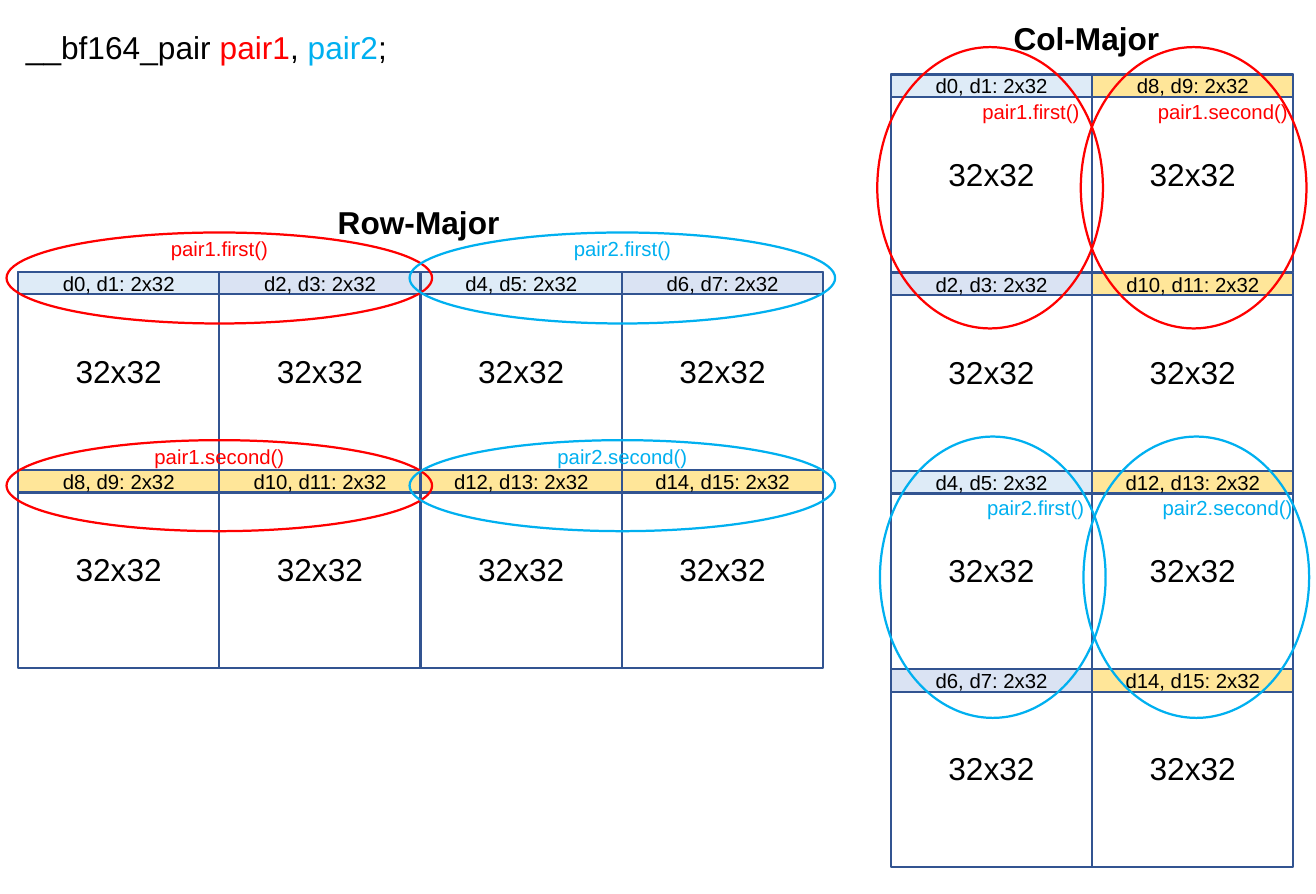
"""Build the slide that maps register pairs onto row-major and col-major tiles."""
from pptx import Presentation
from pptx.dml.color import RGBColor
from pptx.enum.shapes import MSO_SHAPE
from pptx.enum.text import MSO_ANCHOR, PP_ALIGN
from pptx.util import Pt

RECT, OVAL = MSO_SHAPE.RECTANGLE, MSO_SHAPE.OVAL
LEFT, CENTER = PP_ALIGN.LEFT, PP_ALIGN.CENTER
TOP, MIDDLE = MSO_ANCHOR.TOP, MSO_ANCHOR.MIDDLE
BLACK, WHITE, RED, BLUE, NAVY = "000000", "FFFFFF", "FF0000", "00B0F0", "325491"
LOW_FILLS, HIGH_FILL = ("DEEBF7", "DAE3F3"), "FFE699"
CELL_W, CELL_H, STRIP_H = 89.2, 87.8, 10
PAIRS = (("pair1", RED), ("pair2", BLUE))
CALLS = (("first", 58.3), ("second", 72.7))


def rgb(value):
    return RGBColor.from_string(value)


class Deck:
    def __init__(self, width, height):
        self.prs = Presentation()
        self.prs.slide_width, self.prs.slide_height = Pt(width), Pt(height)
        self.s = self.prs.slides.add_slide(self.prs.slide_layouts[5])
        self.font = "Arial"

    def add_runs(self, tf, runs, size, align, anchor, bold=False, inset=(7.2, 3.6)):
        tf.margin_left = tf.margin_right = Pt(inset[0])
        tf.margin_top = tf.margin_bottom = Pt(inset[1])
        tf.word_wrap = False
        tf.vertical_anchor = anchor
        p = tf.paragraphs[0]
        p.alignment = align
        for text, color in runs:
            r = p.add_run()
            r.text = text
            r.font.name, r.font.size, r.font.bold = self.font, Pt(size), bold
            r.font.color.rgb = rgb(color)

    def title(self, x, y, w, h, runs):
        sp = self.s.shapes.title
        sp.left, sp.top, sp.width, sp.height = Pt(x), Pt(y), Pt(w), Pt(h)
        self.add_runs(sp.text_frame, runs, 14, LEFT, TOP)

    def label(self, x, y, w, h, text, size, color=BLACK, align=CENTER, bold=False):
        sp = self.s.shapes.add_textbox(Pt(x), Pt(y), Pt(w), Pt(h))
        self.add_runs(sp.text_frame, [(text, color)], size, align, TOP, bold)

    def shape(self, kind, x, y, w, h, line):
        sp = self.s.shapes.add_shape(kind, Pt(x), Pt(y), Pt(w), Pt(h))
        sp.shadow.inherit = False
        sp.line.color.rgb, sp.line.width = rgb(line), Pt(1)
        return sp

    def box(self, x, y, w, h, fill, text, size):
        sp = self.shape(RECT, x, y, w, h, NAVY)
        sp.fill.solid()
        sp.fill.fore_color.rgb = rgb(fill)
        self.add_runs(sp.text_frame, [(text, BLACK)], size, CENTER, MIDDLE, inset=(0, 0))

    def ellipse(self, x, y, w, h, line):
        self.shape(OVAL, x, y, w, h, line).fill.background()

    def grid(self, x, y, rows, cols, register):
        places = [(r, c, x + c * CELL_W, y + r * CELL_H) for r in range(rows) for c in range(cols)]
        for r, c, left, top in places:
            self.box(left, top, CELL_W, CELL_H, WHITE, "32x32", 14)
        for r, c, left, top in places:
            k = register(r, c)
            fill = LOW_FILLS[k % 2] if k < 4 else HIGH_FILL
            self.box(left, top, CELL_W, STRIP_H, fill, f"d{2 * k}, d{2 * k + 1}: 2x32", 9)


def main():
    deck = Deck(583.2, 396)
    deck.title(4.3, 8.6, 175, 24.5, [("__bf164_pair ", BLACK), ("pair1", RED), (", ", BLACK),
                                     ("pair2", BLUE), (";", BLACK)])
    deck.grid(8, 120.4, 2, 4, lambda r, c: 4 * r + c)
    deck.grid(394.8, 33, 4, 2, lambda r, c: 4 * c + r)
    deck.label(142.6, 86.4, 86.4, 24.5, "Row-Major", 14, align=LEFT, bold=True)
    deck.label(442.1, 5, 79.2, 24.5, "Col-Major", 14, align=LEFT, bold=True)

    for i, (pair, color) in enumerate(PAIRS):
        for j, (call, width) in enumerate(CALLS):
            text = f"{pair}.{call}()"
            x, y = 2.9 + 178.6 * i, 103 + 92 * j
            deck.ellipse(x, y, 188.6, 40.3, color)
            deck.label(x + (188.6 - width) / 2, y - 1.8, width, 18, text, 9, color)
            deck.ellipse(388.8 + 90.2 * j + 1.2 * i, 20.9 + 172.5 * i, 100, 124.6, color)
            deck.label(427.7 + 77.8 * j + 2.1 * i, 40.3 + 175.7 * i, width, 18, text, 9, color)

    deck.prs.save("out.pptx")


if __name__ == "__main__":
    main()
